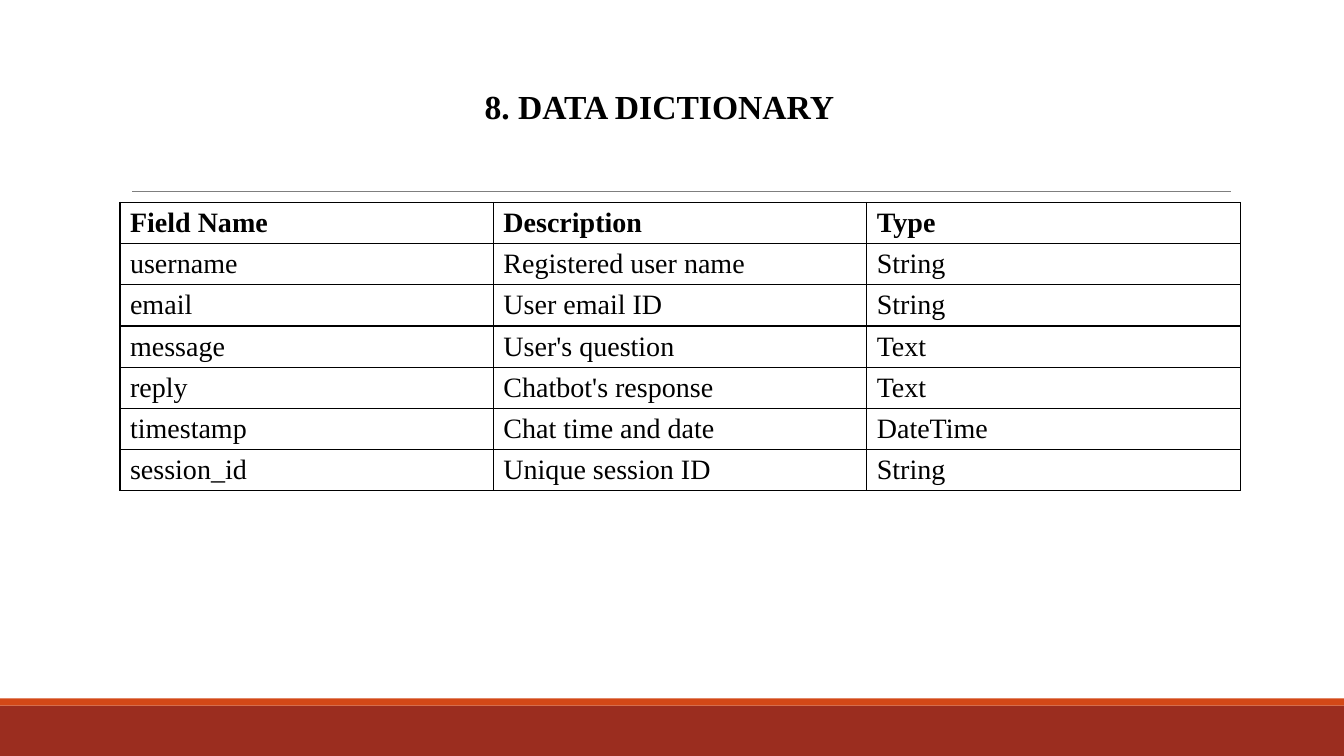
from lxml import etree
from pptx import Presentation
from pptx import util as u
from pptx.dml.color import RGBColor
from pptx.enum import shapes, text
from pptx.oxml import ns

COLORS = {"ink": "000000", "rule": "7F7F7F", "band": "9B2D1F", "stripe": "D34817"}
FONT = "Times New Roman"
FIELDS = [
    ("Field Name", "Description", "Type"),
    ("username", "Registered user name", "String"),
    ("email", "User email ID", "String"),
    ("message", "User's question", "Text"),
    ("reply", "Chatbot's response", "Text"),
    ("timestamp", "Chat time and date", "DateTime"),
    ("session_id", "Unique session ID", "String"),
]


def color(name):
    """Return the named palette colour."""
    return RGBColor.from_string(COLORS[name])


def add_text(paragraph, words, size, bold):
    """Add one formatted run to a paragraph."""
    run = paragraph.add_run()
    run.text = words
    run.font.name = FONT
    run.font.size = u.Pt(size)
    run.font.bold = bold
    run.font.color.rgb = color("ink")


def add_footer(slide, left, top, width, height):
    """Draw the footer band with a thin stripe along its top."""
    stripe_height = 0.07
    parts = [
        ("band", top + stripe_height, height - stripe_height),
        ("stripe", top, stripe_height),
    ]
    for name, part_top, part_height in parts:
        bar = slide.shapes.add_shape(
            shapes.MSO_SHAPE.RECTANGLE,
            u.Inches(left), u.Inches(part_top), u.Inches(width), u.Inches(part_height),
        )
        bar.shadow.inherit = False
        bar.fill.solid()
        bar.fill.fore_color.rgb = color(name)
        bar.line.fill.background()


def add_heading(slide, left, top, width, height):
    """Set the title and the rule beneath it."""
    rule_y = u.Inches(top + 1.22)
    rule = slide.shapes.add_connector(
        shapes.MSO_CONNECTOR.STRAIGHT,
        u.Inches(left + 0.19), rule_y, u.Inches(left + width + 0.18), rule_y,
    )
    rule.line.color.rgb = color("rule")
    rule.line.width = u.Pt(0.75)
    etree.SubElement(rule._element.spPr, ns.qn("a:effectLst"))

    title = slide.shapes.title
    title.left, title.top = u.Inches(left), u.Inches(top)
    title.width, title.height = u.Inches(width), u.Inches(height)
    frame = title.text_frame
    frame.auto_size = text.MSO_AUTO_SIZE.NONE
    frame.vertical_anchor = text.MSO_ANCHOR.BOTTOM
    heading = frame.paragraphs[0]
    heading.alignment = text.PP_ALIGN.CENTER
    add_text(heading, "8. DATA DICTIONARY ", 24, True)


def add_borders(cell):
    """Give a cell a thin line on all four sides."""
    properties = cell._tc.get_or_add_tcPr()
    for position, side in enumerate(("lnL", "lnR", "lnT", "lnB")):
        border = etree.Element(ns.qn(f"a:{side}"), w=str(u.Pt(1)))
        fill = etree.SubElement(border, ns.qn("a:solidFill"))
        etree.SubElement(fill, ns.qn("a:srgbClr"), val=COLORS["ink"])
        properties.insert(position, border)


def add_dictionary(slide, left, top, width, height):
    """Build the table of fields with equal rows and columns."""
    dictionary = slide.shapes.add_table(
        len(FIELDS), len(FIELDS[0]),
        u.Inches(left), u.Inches(top), u.Inches(width), u.Inches(height),
    ).table
    dictionary.horz_banding = False
    for row, entries in enumerate(FIELDS):
        for column, entry in enumerate(entries):
            cell = dictionary.cell(row, column)
            cell.fill.background()
            cell.vertical_anchor = text.MSO_ANCHOR.MIDDLE
            cell.margin_left = cell.margin_right = u.Inches(0.1)
            cell.margin_top = cell.margin_bottom = u.Inches(0.04)
            add_text(cell.text_frame.paragraphs[0], entry, 20, row == 0)
            add_borders(cell)


def main():
    """Build and save the slide."""
    deck = Presentation()
    deck.slide_width, deck.slide_height = u.Inches(13.33), u.Inches(7.5)
    slide = deck.slides.add_slide(deck.slide_layouts.get_by_name("Title Only"))
    add_footer(slide, 0, 6.93, 13.33, 0.57)
    add_heading(slide, 1.12, 0.68, 10.91, 0.62)
    add_dictionary(slide, 1.19, 2.01, 11.11, 2.86)
    deck.save("out.pptx")


if __name__ == "__main__":
    main()
